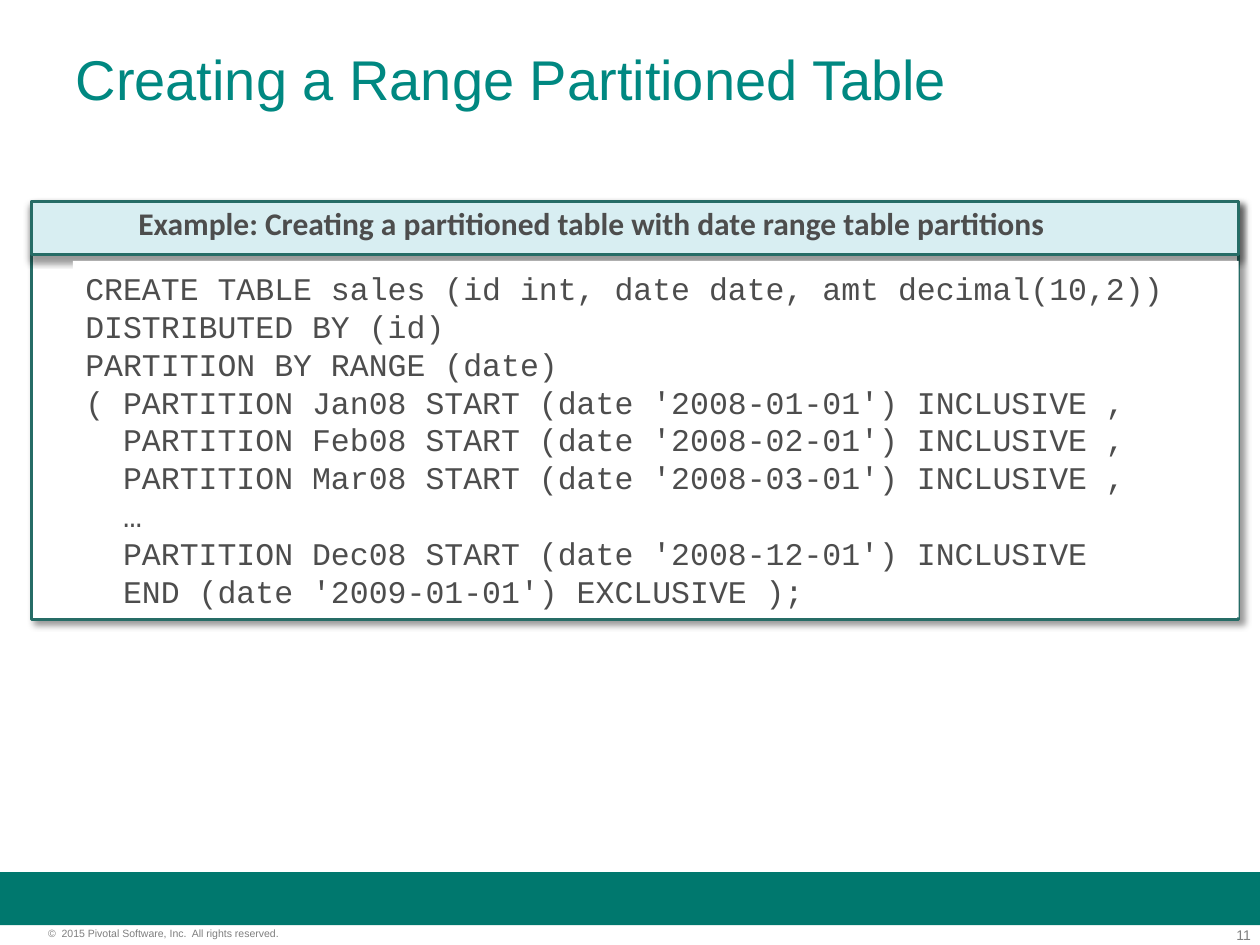
from dataclasses import dataclass

from lxml import etree
from pptx import Presentation
from pptx.dml.color import RGBColor
from pptx.enum import shapes, text
from pptx.oxml import ns
from pptx.util import Cm, Pt

TITLE = "Creating a Range Partitioned Table"
EXAMPLE = "Example: Creating a partitioned table with date range table partitions"
CODE = [
    "CREATE TABLE sales (id int, date date, amt decimal(10,2))",
    "DISTRIBUTED BY (id)",
    "PARTITION BY RANGE (date)",
    "( PARTITION Jan08 START (date '2008-01-01') INCLUSIVE ,",
    "  PARTITION Feb08 START (date '2008-02-01') INCLUSIVE ,",
    "  PARTITION Mar08 START (date '2008-03-01') INCLUSIVE ,",
    "  …",
    "  PARTITION Dec08 START (date '2008-12-01') INCLUSIVE",
    "  END (date '2009-01-01') EXCLUSIVE );",
]
COPYRIGHT = "©  2015 Pivotal Software, Inc.  All rights reserved."
PAGE_NUMBER = "11"


@dataclass(frozen=True)
class Style:
    font: str
    size: int
    color: str
    bold: bool = False


class Theme:
    title = Style("Arial", 32, "008881")
    label = Style("Calibri", 18, "4D4D4D", True)
    code = Style("Courier New", 18, "4D4D4D")
    number = Style("Arial", 8, "7F7F7F")
    copyright = Style("Arial", 6, "7F7F7F")
    bar, border, header, paper = "00786E", "266C66", "D8EEF2", "FFFFFF"
    border_width = 2


def lengths(*values):
    return [Cm(value) for value in values]


def write(box, lines, style, align=text.PP_ALIGN.LEFT,
          anchor=text.MSO_ANCHOR.TOP, wrap=True, margin=None):
    frame = box.text_frame
    frame.text = "\n".join(lines)
    frame.word_wrap = wrap
    frame.auto_size = text.MSO_AUTO_SIZE.NONE
    frame.vertical_anchor = anchor
    if margin is not None:
        frame.margin_left = frame.margin_right = margin
        frame.margin_top = frame.margin_bottom = margin
    for para in frame.paragraphs:
        para.alignment = align
        font = para.font
        font.name, font.size, font.bold = style.font, Pt(style.size), style.bold
        font.color.rgb = RGBColor.from_string(style.color)


def add_panel(parent, place, fill, border=None):
    panel = parent.add_shape(shapes.MSO_SHAPE.RECTANGLE, *lengths(*place))
    panel.shadow.inherit = False
    panel.fill.solid()
    panel.fill.fore_color.rgb = RGBColor.from_string(fill)
    if border:
        panel.line.color.rgb = RGBColor.from_string(border)
        panel.line.width = Pt(Theme.border_width)
    else:
        panel.line.fill.background()
    return panel


def cast_shadow(panel, degrees):
    effects = panel.element.spPr.find(ns.qn("a:effectLst"))
    shadow = etree.SubElement(
        effects, ns.qn("a:outerShdw"), blurRad=str(Pt(4)), dist=str(Pt(3)),
        dir=str(degrees * 60000), algn="tl", rotWithShape="0")
    color = etree.SubElement(shadow, ns.qn("a:srgbClr"), val="000000")
    etree.SubElement(color, ns.qn("a:alpha"), val="40000")


def add_footer(page):
    add_panel(page.shapes, (0, 17.58, 25.4, 1.07), Theme.bar)
    number = page.shapes.add_textbox(*lengths(23.75, 18.67, 1.47, 0.33))
    write(number, [PAGE_NUMBER], Theme.number, text.PP_ALIGN.RIGHT, margin=0)
    notice = page.shapes.add_textbox(*lengths(0.97, 18.69, 6.32, 0.25))
    write(notice, [COPYRIGHT], Theme.copyright, margin=0)


def add_example(page):
    left, top, width = 0.64, 4.06, 24.33
    group = page.shapes.add_group_shape().shapes
    frame = add_panel(group, (left, top, width, 8.43), Theme.paper, Theme.border)
    cast_shadow(frame, 45)
    header = add_panel(group, (left, top, width, 1.07), Theme.header, Theme.border)
    cast_shadow(header, 90)
    label = group.add_textbox(*lengths(2.54, 3.99, 19.05, 1.02))
    write(label, [EXAMPLE], Theme.label, wrap=False)
    code = add_panel(group, (1.47, 5.26, 23.5, 7.19), Theme.paper)
    write(code, CODE, Theme.code, anchor=text.MSO_ANCHOR.MIDDLE)


def main():
    deck = Presentation()
    deck.slide_width, deck.slide_height = lengths(25.4, 19.05)
    page = deck.slides.add_slide(deck.slide_layouts.get_by_name("Title Only"))
    title = page.shapes.title
    title.left, title.top, title.width, title.height = lengths(1.27, 0.76, 22.86, 3.18)
    write(title, [TITLE], Theme.title)
    add_footer(page)
    add_example(page)
    deck.save("out.pptx")


if __name__ == "__main__":
    main()
